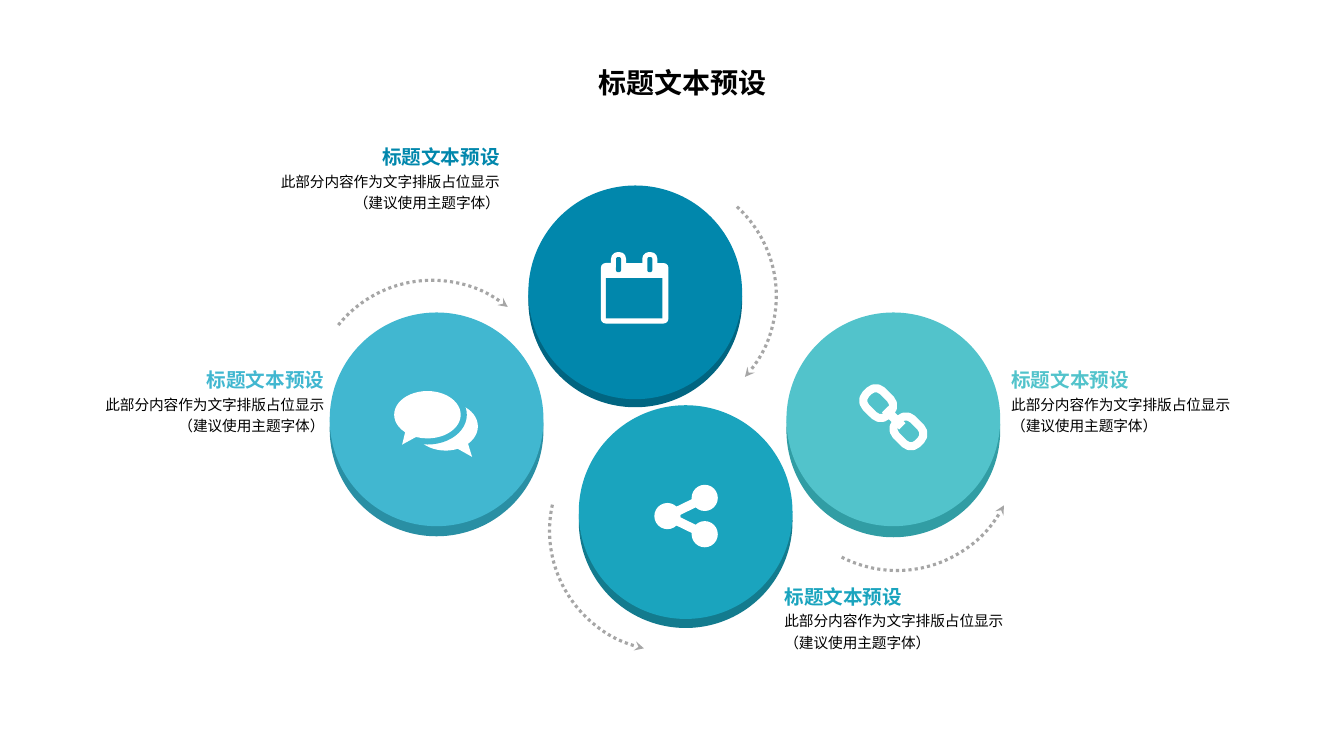
from lxml import etree
from pptx import Presentation
from pptx.dml.color import RGBColor
from pptx.enum.dml import MSO_LINE
from pptx.enum.shapes import MSO_CONNECTOR, MSO_SHAPE
from pptx.enum.text import MSO_ANCHOR, PP_ALIGN
from pptx.oxml.ns import qn
from pptx.util import Inches, Pt

ELLIPSE, ARC, BUBBLE = MSO_SHAPE.OVAL, MSO_SHAPE.ARC, MSO_SHAPE.OVAL_CALLOUT
RECTANGLE, ROUNDED = MSO_SHAPE.RECTANGLE, MSO_SHAPE.ROUNDED_RECTANGLE
LEFT, CENTER, RIGHT = PP_ALIGN.LEFT, PP_ALIGN.CENTER, PP_ALIGN.RIGHT
MIDDLE, DOTTED, STRAIGHT = MSO_ANCHOR.MIDDLE, MSO_LINE.ROUND_DOT, MSO_CONNECTOR.STRAIGHT

FONT = "Noto Sans CJK SC"
HEADING = "标题文本预设"
BODY = ("此部分内容作为文字排版占位显示", "（建议使用主题字体）")
COLORS = {
    "text": "000000", "icon": "FFFFFF", "arrow": "A6A6A6",
    "link": "52C3CB", "link_edge": "319DA4",
    "chat": "41B7D0", "chat_edge": "298FA4",
    "calendar": "0187AC", "calendar_edge": "016581",
    "share": "1AA4BE", "share_edge": "137B8E",
}
DISC_SIZE, ARROW_SIZE, LABEL_WIDTH = 2.12, 2.39, 2.43
HEADING_HEIGHT, BODY_HEIGHT = 0.24, 0.5

# name: disc left, disc top, edge depth, label left, label top, alignment
STAGES = {
    "link": (7.8, 3.1, 0.11, 10.03, 3.65, LEFT),
    "chat": (3.27, 3.1, 0.1, 0.79, 3.65, RIGHT),
    "calendar": (5.24, 1.84, 0.08, 2.53, 1.44, RIGHT),
    "share": (5.74, 4.02, 0.09, 7.78, 5.8, LEFT),
}
# left, top, rotation, mirrored
ARROWS = [
    (3.09, 2.78, 308.9, False),
    (5.31, 1.74, 42.3, False),
    (5.45, 4.07, 282.5, True),
    (7.7, 3.27, 207.3, True),
]
RING_LEFTS = (6.06, 6.37)
SHARE_HUB, SHARE_ENDS, SHARE_DOT = (6.62, 5.12), ((6.99, 4.94), (6.99, 5.3)), 0.26
LINK_CENTERS, LINK_SIZE = ((8.71, 4.0), (9.01, 4.28)), (0.3, 0.23)
LINK_BAR = ((8.78, 4.06), (8.95, 4.23))


def color(name):
    return RGBColor.from_string(COLORS[name])


def add_text(shapes, box, lines, size, ink, align, bold=False, wrap=False, spacing=None):
    frame = shapes.add_textbox(*map(Inches, box)).text_frame
    frame.word_wrap = wrap
    paragraph = frame.paragraphs[0]
    paragraph.alignment = align
    paragraph.line_spacing = spacing
    for index, line in enumerate(lines):
        if index:
            paragraph.add_line_break()
        run = paragraph.add_run()
        run.text = line
        run.font.name, run.font.size, run.font.bold = FONT, Pt(size), bold
        run.font.color.rgb = color(ink)
        etree.SubElement(run.font._element, qn("a:ea"), typeface=FONT)
    return frame


def add_part(shapes, kind, fill, box, adjustments=()):
    part = shapes.add_shape(kind, *map(Inches, box))
    part.shadow.inherit = False
    part.fill.solid()
    part.fill.fore_color.rgb = color(fill)
    part.line.fill.background()
    for index, value in enumerate(adjustments):
        part.adjustments[index] = value
    return part


def add_bar(shapes, start, end):
    bar = shapes.add_connector(STRAIGHT, *map(Inches, (*start, *end)))
    bar.line.color.rgb = color("icon")
    bar.line.width = Pt(6.5)
    etree.SubElement(bar._element.spPr, qn("a:effectLst"))


def add_disc(shapes, name, left, top, depth):
    for fill, drop in ((name + "_edge", depth), (name, 0)):
        add_part(shapes, ELLIPSE, fill, (left, top + drop, DISC_SIZE, DISC_SIZE))


def add_label(shapes, name, left, top, align):
    heading = (left, top, LABEL_WIDTH, HEADING_HEIGHT)
    body = (left, top + HEADING_HEIGHT, LABEL_WIDTH, BODY_HEIGHT)
    for frame in (
        add_text(shapes, body, BODY, 10.5, "text", align, wrap=True, spacing=1.2),
        add_text(shapes, heading, [HEADING], 14, name, align, bold=True),
    ):
        frame.margin_left = frame.margin_right = frame.margin_top = frame.margin_bottom = 0


def add_arrow(shapes, left, top, rotation, mirrored):
    arrow = shapes.add_shape(ARC, *map(Inches, (left, top, ARROW_SIZE, ARROW_SIZE)))
    arrow.shadow.inherit = False
    arrow.fill.background()
    arrow.rotation = rotation
    if mirrored:
        arrow._element.spPr.xfrm.set("flipH", "1")
    arrow.line.color.rgb = color("arrow")
    arrow.line.width = Pt(2.25)
    arrow.line.dash_style = DOTTED
    etree.SubElement(arrow.line._get_or_add_ln(), qn("a:tailEnd"), type="stealth")


def draw_chat(shapes):
    add_part(shapes, BUBBLE, "icon", (4.1, 3.99, 0.64, 0.48), (0.41, 0.63))
    add_part(shapes, ELLIPSE, "chat", (3.85, 3.82, 0.78, 0.59))
    add_part(shapes, BUBBLE, "icon", (3.91, 3.88, 0.66, 0.47), (-0.38, 0.63))


def draw_calendar(shapes):
    add_part(shapes, ROUNDED, "icon", (5.96, 2.61, 0.67, 0.6), (0.08,))
    add_part(shapes, RECTANGLE, "calendar", (6.01, 2.76, 0.56, 0.4))
    for left in RING_LEFTS:
        add_part(shapes, ROUNDED, "icon", (left, 2.5, 0.15, 0.25), (0.45,))
        add_part(shapes, ROUNDED, "calendar", (left + 0.05, 2.55, 0.05, 0.15), (0.4,))


def draw_share(shapes):
    for end in SHARE_ENDS:
        add_bar(shapes, SHARE_HUB, end)
    for x, y in (SHARE_HUB, *SHARE_ENDS):
        corner = (x - SHARE_DOT / 2, y - SHARE_DOT / 2)
        add_part(shapes, ELLIPSE, "icon", (*corner, SHARE_DOT, SHARE_DOT))


def draw_link(shapes):
    width, height = LINK_SIZE
    for x, y in LINK_CENTERS:
        box = (x - width / 2, y - height / 2, width, height)
        ring = add_part(shapes, ROUNDED, "link", box, (0.4,))
        ring.rotation = 45
        ring.line.color.rgb = color("icon")
        ring.line.width = Pt(5.75)
    add_bar(shapes, *LINK_BAR)


def main():
    """Build the four-disc process slide."""
    deck = Presentation()
    deck.slide_width, deck.slide_height = Inches(13.33), Inches(7.5)
    shapes = deck.slides.add_slide(deck.slide_layouts[6]).shapes
    for name, (left, top, depth, label_left, label_top, align) in STAGES.items():
        add_disc(shapes.add_group_shape().shapes, name, left, top, depth)
        add_label(shapes.add_group_shape().shapes, name, label_left, label_top, align)
    for arrow in ARROWS:
        add_arrow(shapes, *arrow)
    for draw_icon in (draw_chat, draw_calendar, draw_share, draw_link):
        draw_icon(shapes.add_group_shape().shapes)
    title = add_text(shapes, (3.68, 0.53, 6.18, 0.58), [HEADING], 20, "text", CENTER, bold=True)
    title.vertical_anchor = MIDDLE
    deck.save("out.pptx")


if __name__ == "__main__":
    main()
